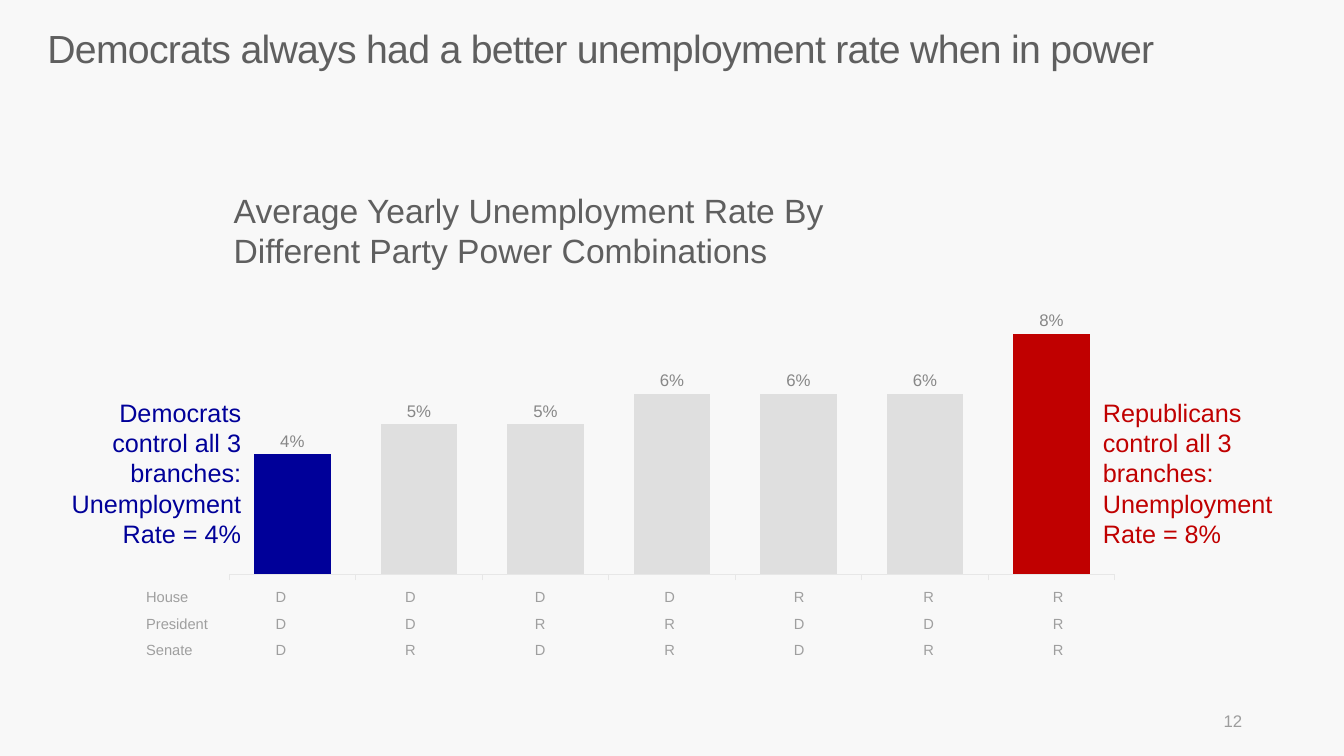
"""Build the slide on unemployment rates by party power combination."""
from dataclasses import dataclass

from lxml import etree
from pptx import Presentation
from pptx.chart.data import CategoryChartData
from pptx.dml.color import RGBColor
from pptx.enum.chart import XL_CHART_TYPE, XL_LABEL_POSITION, XL_TICK_LABEL_POSITION, XL_TICK_MARK
from pptx.enum.text import MSO_ANCHOR, PP_ALIGN
from pptx.oxml import parse_xml
from pptx.oxml.ns import nsdecls, qn
from pptx.util import Inches, Pt

LEFT, RIGHT = PP_ALIGN.LEFT, PP_ALIGN.RIGHT
TOP, MIDDLE = MSO_ANCHOR.TOP, MSO_ANCHOR.MIDDLE
COLUMNS = XL_CHART_TYPE.COLUMN_CLUSTERED
OUTSIDE_END = XL_LABEL_POSITION.OUTSIDE_END
NO_TICK_LABELS = XL_TICK_LABEL_POSITION.NONE
TICK_OUTSIDE, TICK_NONE = XL_TICK_MARK.OUTSIDE, XL_TICK_MARK.NONE


@dataclass(frozen=True)
class Theme:
    font: str = "Arial"
    background: str = "F8F8F8"
    text: str = "5F5F5F"
    data_label: str = "878787"
    table_text: str = "9F9F9F"
    page_number: str = "9D9D9D"
    bar: str = "DFDFDF"
    axis: str = "E7E7E7"
    democrat: str = "000099"
    republican: str = "C00000"
    title_size: float = 28
    heading_size: float = 24
    callout_size: float = 18
    label_size: float = 12
    table_size: float = 10.5


THEME = Theme()

TITLE = "Democrats always had a better unemployment rate when in power"
TEXTS = [
    ("Average Yearly Unemployment Rate By Different Party Power Combinations",
     (2.22, 1.83, 6.73, 0.91), THEME.heading_size, THEME.text, LEFT, TOP),
    ("Democrats control all 3 branches: Unemployment Rate = 4%",
     (0.29, 3.89, 2.2, 1.62), THEME.callout_size, THEME.democrat, RIGHT, TOP),
    ("Republicans control all 3 branches: Unemployment Rate = 8%",
     (10.84, 3.89, 2.2, 1.62), THEME.callout_size, THEME.republican, LEFT, TOP),
    ("12", (9.42, 6.95, 3, 0.4), THEME.label_size, THEME.page_number, RIGHT, MIDDLE),
]
RATES = [0.04, 0.05, 0.05, 0.06, 0.06, 0.06, 0.08]
HIGHLIGHTS = {0: THEME.democrat, 6: THEME.republican}
CONTROL = {"House": "DDDDRRR", "President": "DDRRDDR", "Senate": "DRDRDRR"}
CHART_BOX = (2.09, 2.86, 9.15, 3.12)
PLOT_LAYOUT = {"x": 0.02, "y": 0.05, "w": 0.96, "h": 0.86}
TABLE_BOX = (1.35, 5.8, 10.28, 0.78)


def inches(box):
    return [Inches(length) for length in box]


def style_font(font, size, color):
    font.name = THEME.font
    font.size = Pt(size)
    font.color.rgb = RGBColor.from_string(color)


def paint(fill, color):
    fill.solid()
    fill.fore_color.rgb = RGBColor.from_string(color)


def add_run(paragraph, text, size, color):
    run = paragraph.add_run()
    run.text = text
    style_font(run.font, size, color)
    return run


def add_text(slide, text, box, size, color, alignment=LEFT, anchor=TOP):
    shape = slide.shapes.add_textbox(*inches(box))
    frame = shape.text_frame
    frame.word_wrap = True
    frame.vertical_anchor = anchor
    paragraph = frame.paragraphs[0]
    paragraph.alignment = alignment
    return frame, add_run(paragraph, text, size, color)


def add_title(slide):
    frame, run = add_text(slide, TITLE, (0.47, 0.31, 12.39, 0.89), THEME.title_size, THEME.text)
    frame.margin_left = frame.margin_top = frame.margin_right = frame.margin_bottom = 0
    frame.paragraphs[0].line_spacing = 0.86
    run.font._element.set("spc", "-50")


def set_plot_layout(chart):
    plot_area = chart._chartSpace.chart.plotArea
    for layout in plot_area.findall(qn("c:layout")):
        plot_area.remove(layout)
    layout = parse_xml(f"<c:layout {nsdecls('c')}><c:manualLayout/></c:layout>")
    settings = {"layoutTarget": "inner", "xMode": "edge", "yMode": "edge", **PLOT_LAYOUT}
    for name, value in settings.items():
        etree.SubElement(layout[0], qn(f"c:{name}")).set("val", str(value))
    plot_area.insert(0, layout)


def add_rate_chart(slide):
    data = CategoryChartData(number_format="0%")
    data.categories = ["-".join(parties) for parties in zip(*CONTROL.values())]
    data.add_series("Unemployment Rate", RATES)
    chart = slide.shapes.add_chart(COLUMNS, *inches(CHART_BOX), data).chart
    chart.has_legend = chart.has_title = False
    style_font(chart.font, THEME.label_size, THEME.data_label)
    set_plot_layout(chart)

    category_axis = chart.category_axis
    category_axis.tick_label_position = NO_TICK_LABELS
    category_axis.major_tick_mark = TICK_OUTSIDE
    category_axis.minor_tick_mark = TICK_NONE
    category_axis.has_major_gridlines = False
    category_axis.format.line.color.rgb = RGBColor.from_string(THEME.axis)
    category_axis.format.line.width = Pt(0.75)

    value_axis = chart.value_axis
    value_axis.visible = False
    value_axis.has_major_gridlines = False
    value_axis.minimum_scale, value_axis.maximum_scale = 0, 0.09

    plot = chart.plots[0]
    plot.gap_width, plot.overlap = 66, 100
    plot.vary_by_categories = False
    series = plot.series[0]
    paint(series.format.fill, THEME.bar)
    for index, color in HIGHLIGHTS.items():
        paint(series.points[index].format.fill, color)
    labels = series.data_labels
    labels.show_value = True
    labels.position = OUTSIDE_END
    labels.number_format, labels.number_format_is_linked = "0%", False
    style_font(labels.font, THEME.label_size, THEME.data_label)


def add_borders(cell):
    properties = cell._tc.get_or_add_tcPr()
    for index, side in enumerate("LRTB"):
        properties.insert(index, parse_xml(
            f'<a:ln{side} {nsdecls("a")} w="{Pt(1)}"><a:solidFill>'
            f'<a:srgbClr val="{THEME.background}"/></a:solidFill></a:ln{side}>'))


def add_control_table(slide):
    column_count = len(RATES) + 1
    table = slide.shapes.add_table(len(CONTROL), column_count, *inches(TABLE_BOX)).table
    table.first_row = table.horz_banding = False
    for column in table.columns:
        column.width = Inches(TABLE_BOX[2] / column_count)
    for row_index, (branch, parties) in enumerate(CONTROL.items()):
        table.rows[row_index].height = Inches(TABLE_BOX[3] / len(CONTROL))
        for column_index, text in enumerate([branch, *parties]):
            cell = table.cell(row_index, column_index)
            cell.fill.background()
            cell.margin_bottom = Inches(0.03)
            add_borders(cell)
            add_run(cell.text_frame.paragraphs[0], text, THEME.table_size, THEME.table_text)


def main():
    presentation = Presentation()
    presentation.slide_width, presentation.slide_height = Inches(13.33), Inches(7.5)
    slide = presentation.slides.add_slide(presentation.slide_layouts[6])
    paint(slide.background.fill, THEME.background)
    add_title(slide)
    add_rate_chart(slide)
    add_control_table(slide)
    for text in TEXTS:
        add_text(slide, *text)
    presentation.save("out.pptx")


if __name__ == "__main__":
    main()
